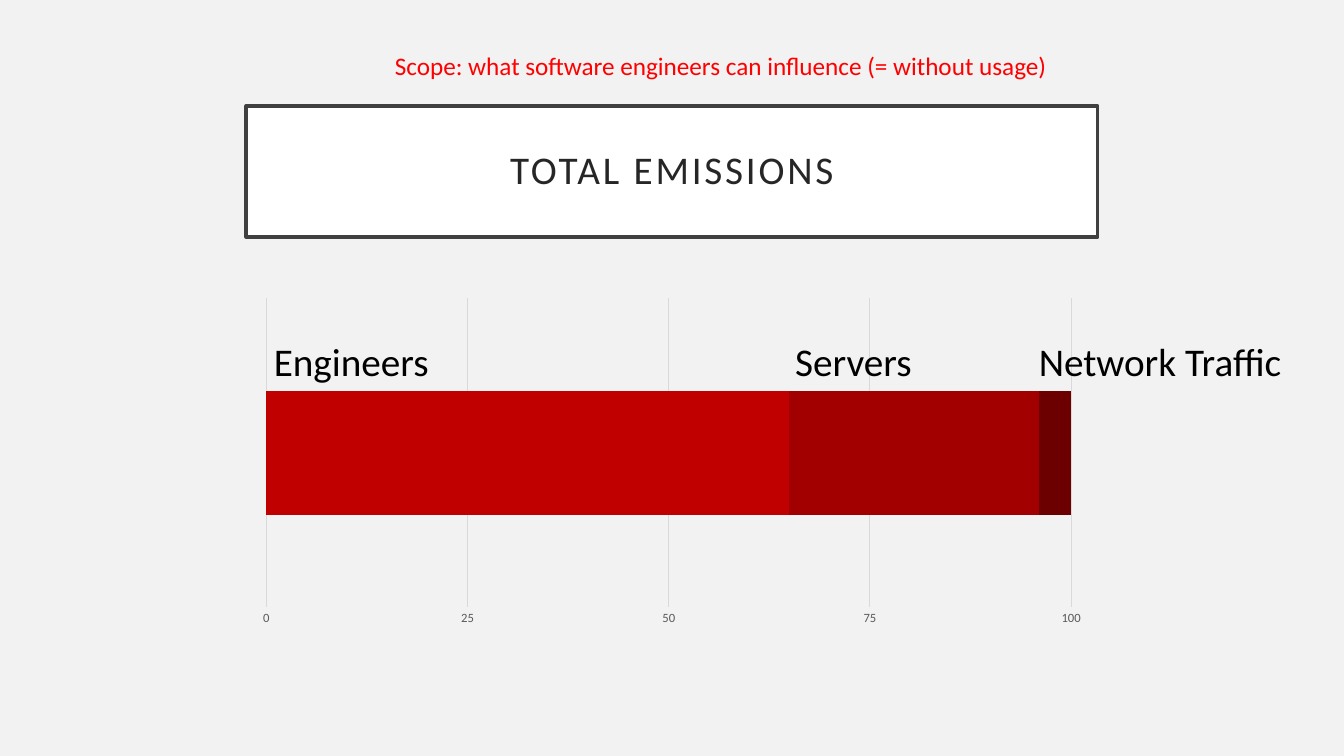
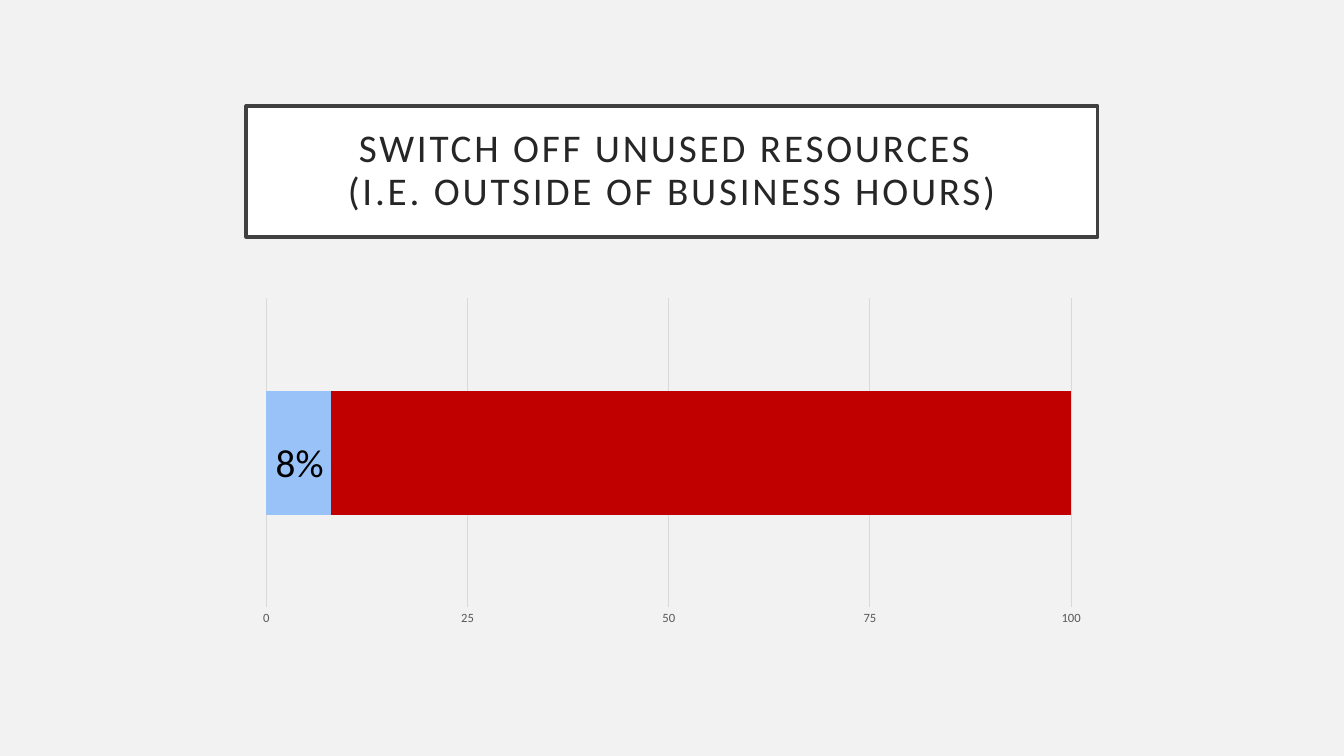
"""Build two slides with a framed title over a stacked emissions bar."""
from dataclasses import dataclass

from pptx import Presentation
from pptx.chart.data import CategoryChartData
from pptx.dml.color import RGBColor
from pptx.enum.chart import XL_CHART_TYPE, XL_TICK_MARK
from pptx.enum.shapes import MSO_SHAPE
from pptx.enum.text import MSO_ANCHOR, MSO_AUTO_SIZE, PP_ALIGN
from pptx.util import Cm, Pt


@dataclass(frozen=True)
class Theme:
    font: str = "Calibri"
    background: str = "F2F2F2"
    panel: str = "FFFFFF"
    frame: str = "404040"
    title: str = "262626"
    text: str = "000000"
    scope: str = "FF0000"
    axis: str = "595959"
    grid: str = "D9D9D9"
    red: str = "C00000"
    dark_red: str = "A20000"
    deep_red: str = "6C0000"
    blue: str = "99C2F9"
    title_size: int = 28
    label_size: int = 28
    scope_size: int = 18
    chart_size: int = 10
    axis_size: int = 9


T = Theme()
SLIDE_W, SLIDE_H = 33.87, 19.05
BODY_W = 21.46
BODY_X = (SLIDE_W - BODY_W) / 2
TITLE_Y, TITLE_H = 2.67, 3.3
CHART_Y, CHART_H = 7.34, 8.61
LABEL_H, SCOPE_H = 1.45, 1.03

SLIDES = [
    {
        "title": "TOTAL EMISSIONS",
        "bars": [(65, T.red), (31, T.dark_red), (4, T.deep_red)],
        "labels": [
            ("Engineers", (6.65, 8.38, 4.8, LABEL_H), T.label_size, T.text),
            ("Servers", (19.79, 8.38, 4.42, LABEL_H), T.label_size, T.text),
            ("Network Traffic", (25.93, 8.38, 7.34, LABEL_H), T.label_size, T.text),
            ("Scope: what software engineers can influence (= without usage)",
             (9.7, 1.14, 17.65, SCOPE_H), T.scope_size, T.scope),
        ],
    },
    {
        "title": "SWITCH OFF UNUSED RESOURCES \v(I.E. OUTSIDE OF BUSINESS HOURS)",
        "bars": [(8, T.blue), (92, T.red)],
        "labels": [("8%", (6.7, 10.92, 2.26, LABEL_H), T.label_size, T.text)],
    },
]


def rgb(color):
    return RGBColor.from_string(color)


def paint(fill, color):
    fill.solid()
    fill.fore_color.rgb = rgb(color)


def style(font, size, color):
    font.name = T.font
    font.size = Pt(size)
    font.color.rgb = rgb(color)


def add_title(s, text):
    sp = s.shapes.add_shape(MSO_SHAPE.RECTANGLE, Cm(BODY_X), Cm(TITLE_Y), Cm(BODY_W), Cm(TITLE_H))
    sp.shadow.inherit = False
    paint(sp.fill, T.panel)
    sp.line.color.rgb = rgb(T.frame)
    sp.line.width = Pt(2.5)
    tf = sp.text_frame
    tf.word_wrap = True
    tf.vertical_anchor = MSO_ANCHOR.MIDDLE
    tf.margin_left = tf.margin_right = tf.margin_top = tf.margin_bottom = Cm(0.5)
    p = tf.paragraphs[0]
    p.text = text
    p.alignment = PP_ALIGN.CENTER
    p.line_spacing = 0.9
    for r in p.runs:
        style(r.font, T.title_size, T.title)
        r.font._element.set("spc", "200")


def add_label(s, text, box, size, color):
    tf = s.shapes.add_textbox(*map(Cm, box)).text_frame
    tf.word_wrap = True
    tf.auto_size = MSO_AUTO_SIZE.SHAPE_TO_FIT_TEXT
    tf.text = text
    style(tf.paragraphs[0].runs[0].font, size, color)


def add_bar(s, bars):
    data = CategoryChartData()
    data.categories = ["1"]
    for number, (value, _) in enumerate(bars, 1):
        data.add_series(f"Series {number}", [value])
    chart = s.shapes.add_chart(XL_CHART_TYPE.BAR_STACKED, Cm(BODY_X), Cm(CHART_Y),
                               Cm(BODY_W), Cm(CHART_H), data).chart
    chart.has_legend = False
    chart.has_title = False
    style(chart.font, T.chart_size, T.text)
    plot = chart.plots[0]
    plot.vary_by_categories = False
    plot.gap_width, plot.overlap = 150, 100
    for series, (_, color) in zip(plot.series, bars):
        paint(series.format.fill, color)
    chart.category_axis.visible = False
    axis = chart.value_axis
    axis.minimum_scale, axis.maximum_scale, axis.major_unit = 0, 100, 25
    axis.major_tick_mark = axis.minor_tick_mark = XL_TICK_MARK.NONE
    axis.format.line.fill.background()
    style(axis.tick_labels.font, T.axis_size, T.axis)
    grid = axis.major_gridlines.format.line
    grid.color.rgb = rgb(T.grid)
    grid.width = Pt(0.75)


def main():
    prs = Presentation()
    prs.slide_width, prs.slide_height = Cm(SLIDE_W), Cm(SLIDE_H)
    paint(prs.slide_master.background.fill, T.background)
    for content in SLIDES:
        s = prs.slides.add_slide(prs.slide_layouts[6])
        add_bar(s, content["bars"])
        add_title(s, content["title"])
        for label in content["labels"]:
            add_label(s, *label)
    prs.save("out.pptx")


if __name__ == "__main__":
    main()
